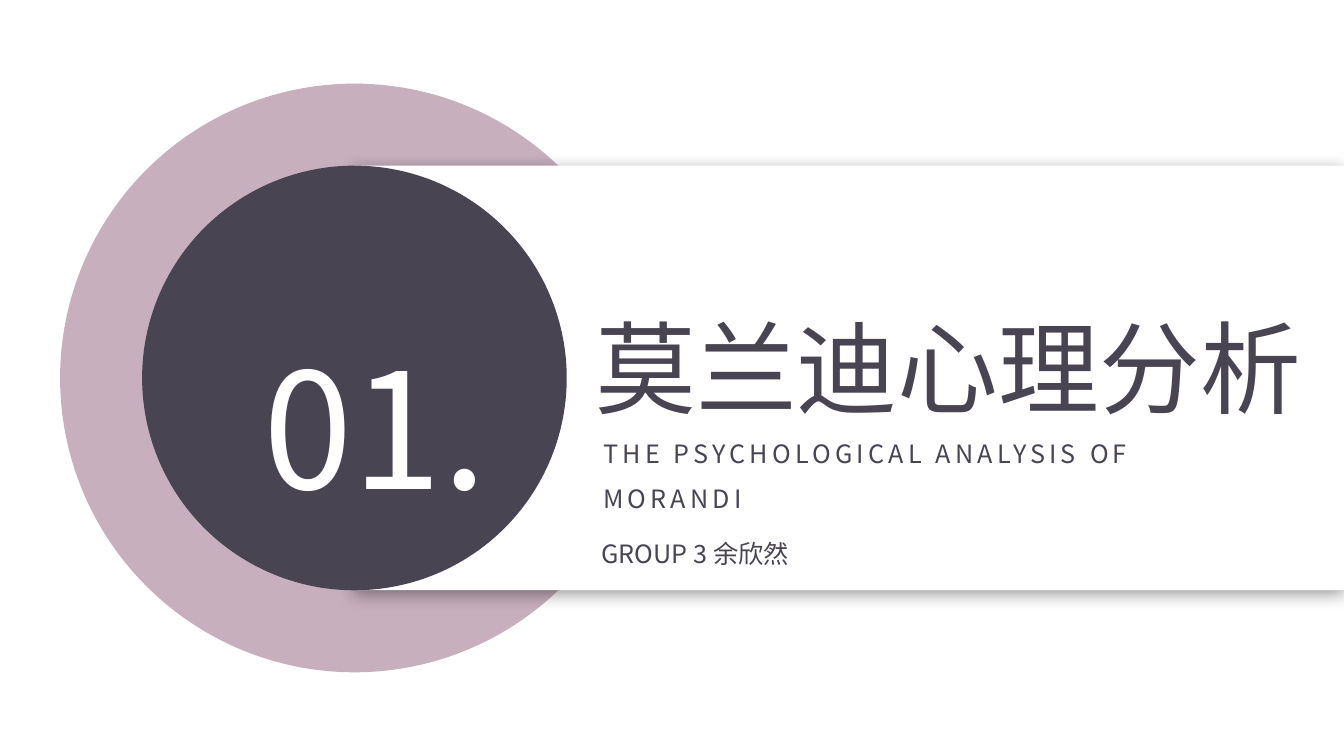
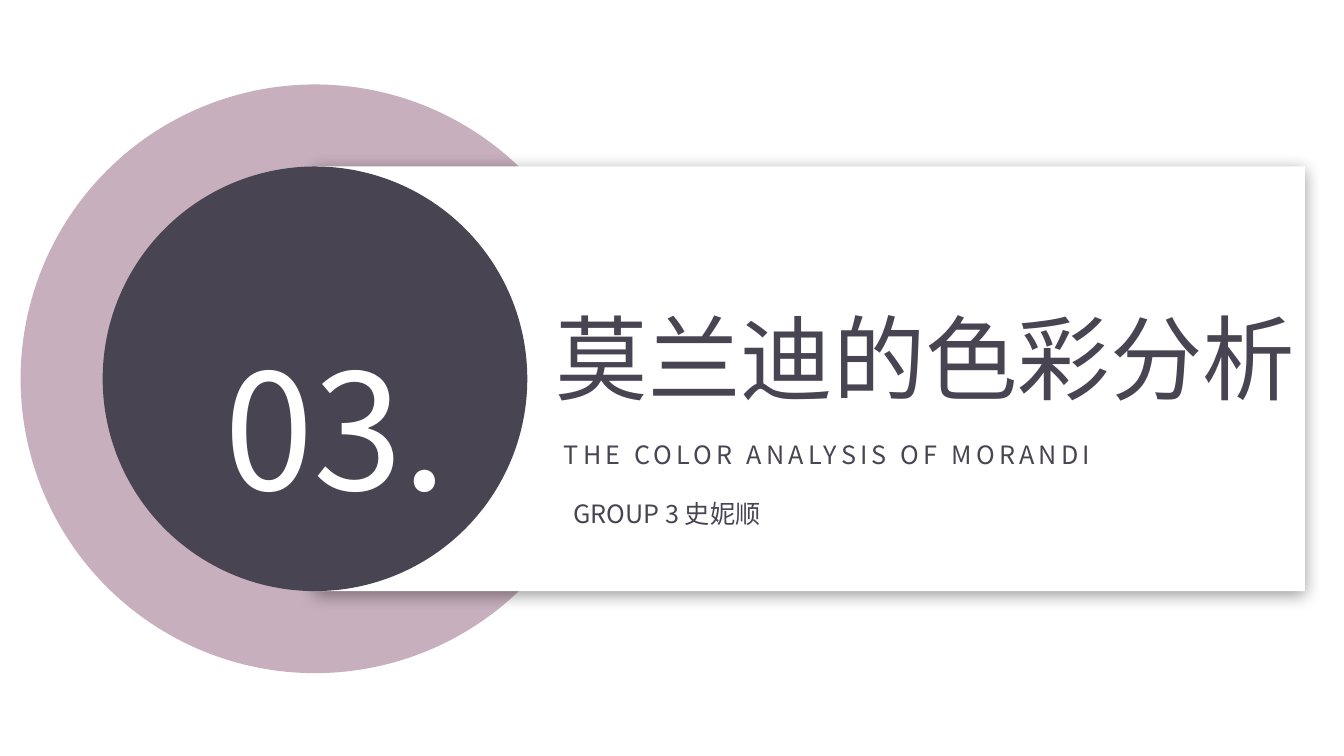
from dataclasses import dataclass

from lxml import etree
from pptx import Presentation
from pptx.dml.color import RGBColor
from pptx.enum.shapes import MSO_SHAPE
from pptx.enum.text import MSO_AUTO_SIZE
from pptx.oxml.ns import qn
from pptx.shapes.autoshape import Shape
from pptx.shapes.shapetree import GroupShapes, SlideShapes
from pptx.slide import Slide
from pptx.util import Pt

OVAL = MSO_SHAPE.OVAL
RECTANGLE = MSO_SHAPE.RECTANGLE
GROW = MSO_AUTO_SIZE.SHAPE_TO_FIT_TEXT

COLORS = {"mauve": "C7AFBD", "slate": "484452", "white": "FFFFFF", "shadow": "000000"}
FONT = "Noto Sans CJK SC"
RING = 420.5
DISC = 303.3
PANEL_WIDTH = 707
LINE_SPACING = 1.5


@dataclass(frozen=True)
class Box:
    left: float
    top: float
    width: float
    height: float

    def shifted(self, x: float, y: float) -> "Box":
        return Box(self.left + x, self.top + y, self.width, self.height)

    def lengths(self) -> tuple[Pt, Pt, Pt, Pt]:
        return Pt(self.left), Pt(self.top), Pt(self.width), Pt(self.height)


@dataclass(frozen=True)
class Section:
    center_x: float
    center_y: float
    number: str
    title: str
    title_size: float
    title_box: Box
    subtitle: str
    subtitle_height: float
    author: str
    author_box: Box


SECTIONS = [
    Section(253.2, 270, "01.", "莫兰迪心理分析", 72, Box(165, -98.6, 523.4, 138.2),
            "THE PSYCHOLOGICAL ANALYSIS OF MORANDI", 69,
            "GROUP 3 余欣然", Box(169.4, 100, 494, 40.3)),
    Section(225, 270.6, "03.", "莫兰迪的色彩分析", 66, Box(165, -98.6, 548, 113),
            "THE COLOR ANALYSIS OF MORANDI", 36,
            "GROUP 3 史妮顺", Box(177.5, 70.8, 494, 40.3)),
]


def add_figure(shapes: SlideShapes | GroupShapes, kind: MSO_SHAPE, box: Box, color: str) -> Shape:
    figure = shapes.add_shape(kind, *box.lengths())
    figure.shadow.inherit = False
    figure.fill.solid()
    figure.fill.fore_color.rgb = RGBColor.from_string(COLORS[color])
    figure.line.fill.background()
    return figure


def cast_shadow(figure: Shape) -> None:
    effects = figure.element.spPr.find(qn("a:effectLst"))
    shadow = etree.SubElement(effects, qn("a:outerShdw"), blurRad=str(Pt(12)),
                              dist=str(Pt(3)), dir="5400000", algn="t", rotWithShape="0")
    tint = etree.SubElement(shadow, qn("a:srgbClr"), val=COLORS["shadow"])
    etree.SubElement(tint, qn("a:alpha"), val="40000")


def add_text(slide: Slide, text: str, box: Box, *, size: float, color: str = "slate",
             wrap: bool = True, tracking: float = 0) -> None:
    frame = slide.shapes.add_textbox(*box.lengths()).text_frame
    frame.word_wrap = wrap
    frame.auto_size = GROW
    paragraph = frame.paragraphs[0]
    paragraph.line_spacing = LINE_SPACING
    run = paragraph.add_run()
    run.text = text
    run.font.size = Pt(size)
    run.font.name = FONT
    run.font.color.rgb = RGBColor.from_string(COLORS[color])
    properties = run.font._element if hasattr(run.font, "_element") else run._r.get_or_add_rPr()
    etree.SubElement(properties, qn("a:ea"), typeface=FONT)
    if tracking:
        properties.set("spc", str(round(tracking * 100)))


def draw_section(slide: Slide, section: Section) -> None:
    center = section.center_x, section.center_y

    def centered(diameter: float) -> Box:
        return Box(-diameter / 2, -diameter / 2, diameter, diameter).shifted(*center)

    add_figure(slide.shapes, OVAL, centered(RING), "mauve")
    banner = slide.shapes.add_group_shape().shapes
    panel = Box(0, -DISC / 2, PANEL_WIDTH, DISC).shifted(*center)
    cast_shadow(add_figure(banner, RECTANGLE, panel, "white"))
    add_figure(banner, OVAL, centered(DISC), "slate")

    add_text(slide, section.title, section.title_box.shifted(*center),
             size=section.title_size, wrap=False)
    add_text(slide, section.subtitle,
             Box(170.6, 28.8, 494, section.subtitle_height).shifted(*center),
             size=18, tracking=3)
    add_text(slide, section.number, Box(-72, -108, 178.6, 191.5).shifted(*center),
             size=115, color="white", wrap=False)
    add_text(slide, section.author, section.author_box.shifted(*center), size=18)


def main() -> None:
    deck = Presentation()
    deck.slide_width, deck.slide_height = Pt(960), Pt(540)
    blank = deck.slide_layouts[6]
    for section in SECTIONS:
        draw_section(deck.slides.add_slide(blank), section)
    deck.save("out.pptx")


if __name__ == "__main__":
    main()
